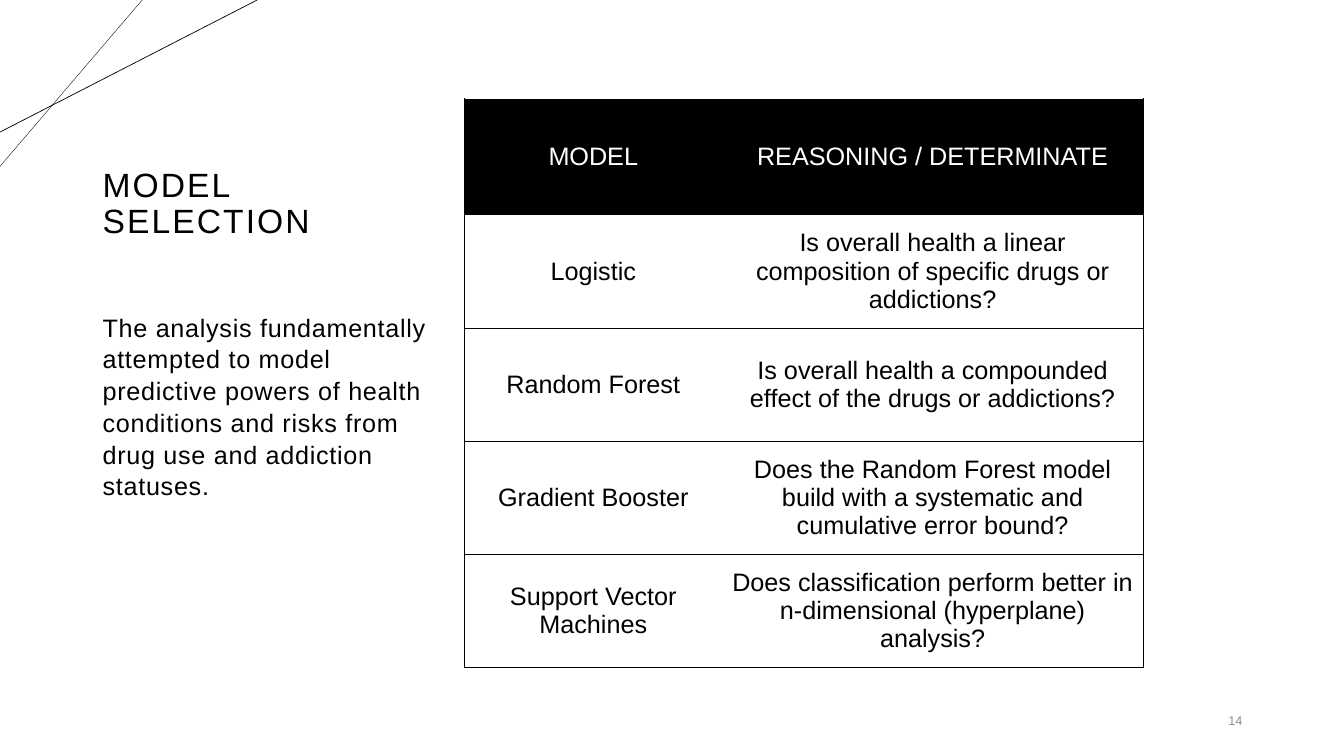
from dataclasses import dataclass, field

from lxml import etree
from pptx import Presentation
from pptx import util as u
from pptx.dml import color
from pptx.enum import shapes, text
from pptx.oxml import ns

HUES = {"ink": "000000", "paper": "FFFFFF", "grey": "8C8C8C"}
FACE = "Arial"
WIDE, HIGH = u.Inches(13.33), u.Inches(7.5)
GRID = 100
EDGE = 0.5


@dataclass
class Style:
    size: float
    hue: str = "ink"
    space: float = 0
    para: dict = field(default_factory=dict)


@dataclass
class Note:
    words: str
    col: float
    row: float
    cols: float
    rows: float
    style: Style
    frame: dict = field(default_factory=dict)


@dataclass
class Ray:
    col: float
    row: float
    width: float


MID = {"vertical_anchor": text.MSO_ANCHOR.MIDDLE}
BODY = {"margin_top": 0, "vertical_anchor": text.MSO_ANCHOR.TOP}
HEAD = Style(18, "paper", para={"alignment": text.PP_ALIGN.CENTER})
CELL = Style(18, para={"alignment": text.PP_ALIGN.CENTER})

RAYS = [Ray(10.58, 22, 0.25), Ray(19.13, 17.47, 0.5)]
NOTES = [
    Note("MODEL SELECTION", 6.9, 13.07, 26.63, 28,
         Style(24, space=1.5, para={"line_spacing": 0.9}), MID),
    Note("The analysis fundamentally attempted to model predictive powers of "
         "health conditions and risks from drug use and addiction statuses.",
         6.9, 41.07, 26.63, 47.2,
         Style(18, space=0.5,
               para={"line_spacing": 1.05, "space_before": u.Pt(10)}), BODY),
    Note("14", 85.07, 92.67, 8.1, 5.33,
         Style(9, "grey", para={"alignment": text.PP_ALIGN.RIGHT}), MID),
]
LEFT, TOP = 34.58, 13.07
COLS = [19.13, 31.36]
ROWS = [15.33] + [14.97] * 4
MODELS = [
    ("MODEL", "REASONING / DETERMINATE"),
    ("Logistic", "Is overall health a linear composition of specific drugs "
                 "or addictions?"),
    ("Random Forest", "Is overall health a compounded effect of the drugs "
                      "or addictions?"),
    ("Gradient Booster", "Does the Random Forest model build with a "
                         "systematic and cumulative error bound?"),
    ("Support Vector Machines", "Does classification perform better in "
                                "n-dimensional (hyperplane) analysis?"),
]


def across(cols: float) -> int:
    return round(WIDE * cols / GRID)


def down(rows: float) -> int:
    return round(HIGH * rows / GRID)


def shade(name: str) -> color.RGBColor:
    return color.RGBColor.from_string(HUES[name])


def apply(item, values: dict) -> None:
    for name, value in values.items():
        setattr(item, name, value)


def write(frame, words: str, style: Style) -> None:
    para = frame.paragraphs[0]
    apply(para, style.para)
    run = para.add_run()
    run.text = words
    apply(run.font, {"name": FACE, "size": u.Pt(style.size), "bold": False})
    run.font.color.rgb = shade(style.hue)
    if style.space:
        run._r.get_or_add_rPr().set("spc", str(round(style.space * 100)))


def draw_ray(slide, ray: Ray) -> None:
    line = slide.shapes.add_connector(
        shapes.MSO_CONNECTOR.STRAIGHT, across(ray.col), 0, 0, down(ray.row))
    line.line.width = u.Pt(ray.width)
    line.line.color.rgb = shade("ink")
    etree.SubElement(line._element.spPr, ns.qn("a:effectLst"))


def draw_note(slide, note: Note) -> None:
    box = slide.shapes.add_textbox(across(note.col), down(note.row),
                                   across(note.cols), down(note.rows))
    apply(box.text_frame, {"word_wrap": True, **note.frame})
    write(box.text_frame, note.words, note.style)


def rule(cell, sides: dict[str, bool]) -> None:
    props = cell._tc.get_or_add_tcPr()
    for spot, (side, shown) in enumerate(sides.items()):
        line = etree.Element(ns.qn(f"a:ln{side}"), w=str(u.Pt(EDGE)))
        if shown:
            fill = etree.SubElement(line, ns.qn("a:solidFill"))
            etree.SubElement(fill, ns.qn("a:srgbClr"), val=HUES["ink"])
        else:
            etree.SubElement(line, ns.qn("a:noFill"))
        props.insert(spot, line)


def draw_table(slide) -> None:
    table = slide.shapes.add_table(
        len(ROWS), len(COLS), across(LEFT), down(TOP),
        across(sum(COLS)), down(sum(ROWS))).table
    apply(table, {"first_row": False, "horz_banding": False})
    for col, cols in zip(table.columns, COLS):
        col.width = across(cols)
    for row, rows in zip(table.rows, ROWS):
        row.height = down(rows)
    for r, model in enumerate(MODELS):
        for c, words in enumerate(model):
            cell = table.cell(r, c)
            apply(cell, MID)
            cell.fill.solid()
            cell.fill.fore_color.rgb = shade("paper" if r else "ink")
            write(cell.text_frame, words, CELL if r else HEAD)
            rule(cell, {"L": c == 0, "R": c == len(COLS) - 1,
                        "T": True, "B": True})


def main() -> None:
    deck = Presentation()
    apply(deck, {"slide_width": WIDE, "slide_height": HIGH})
    slide = deck.slides.add_slide(deck.slide_layouts[6])
    for ray in RAYS:
        draw_ray(slide, ray)
    for note in NOTES:
        draw_note(slide, note)
    draw_table(slide)
    deck.save("out.pptx")


if __name__ == "__main__":
    main()
